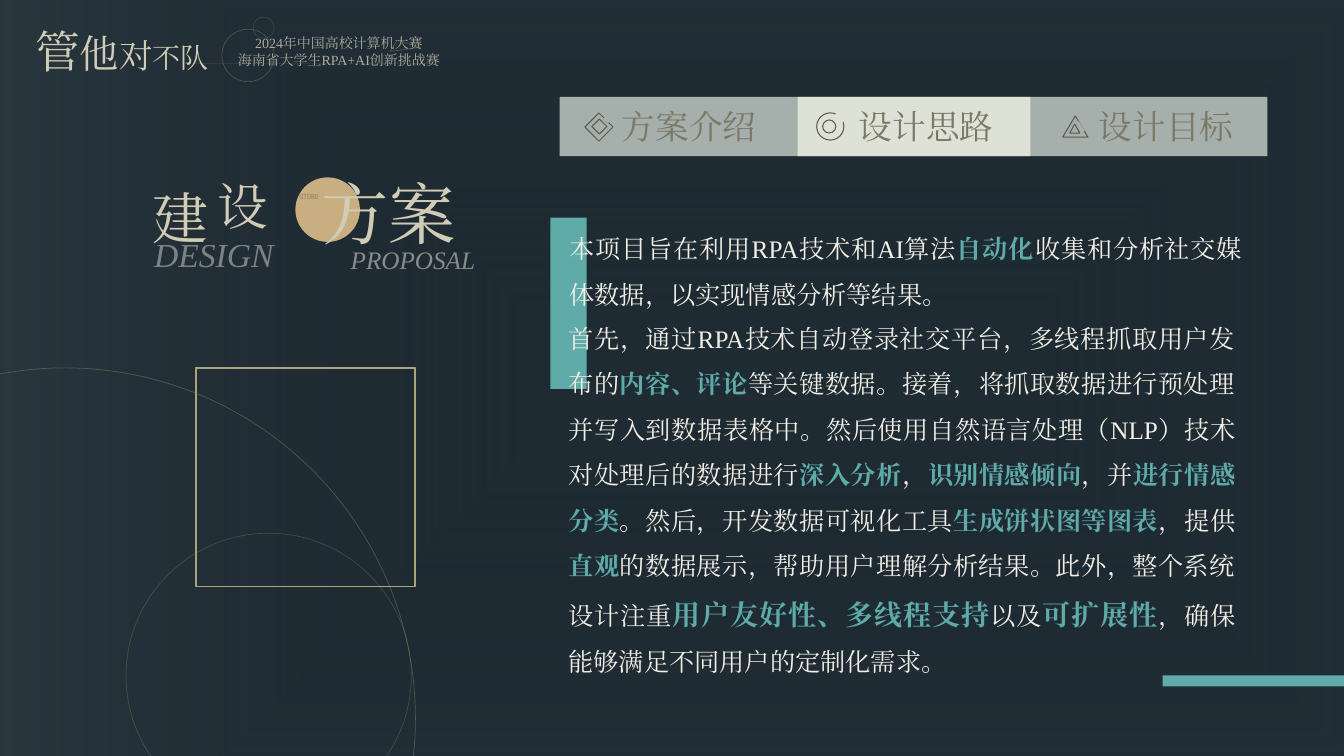
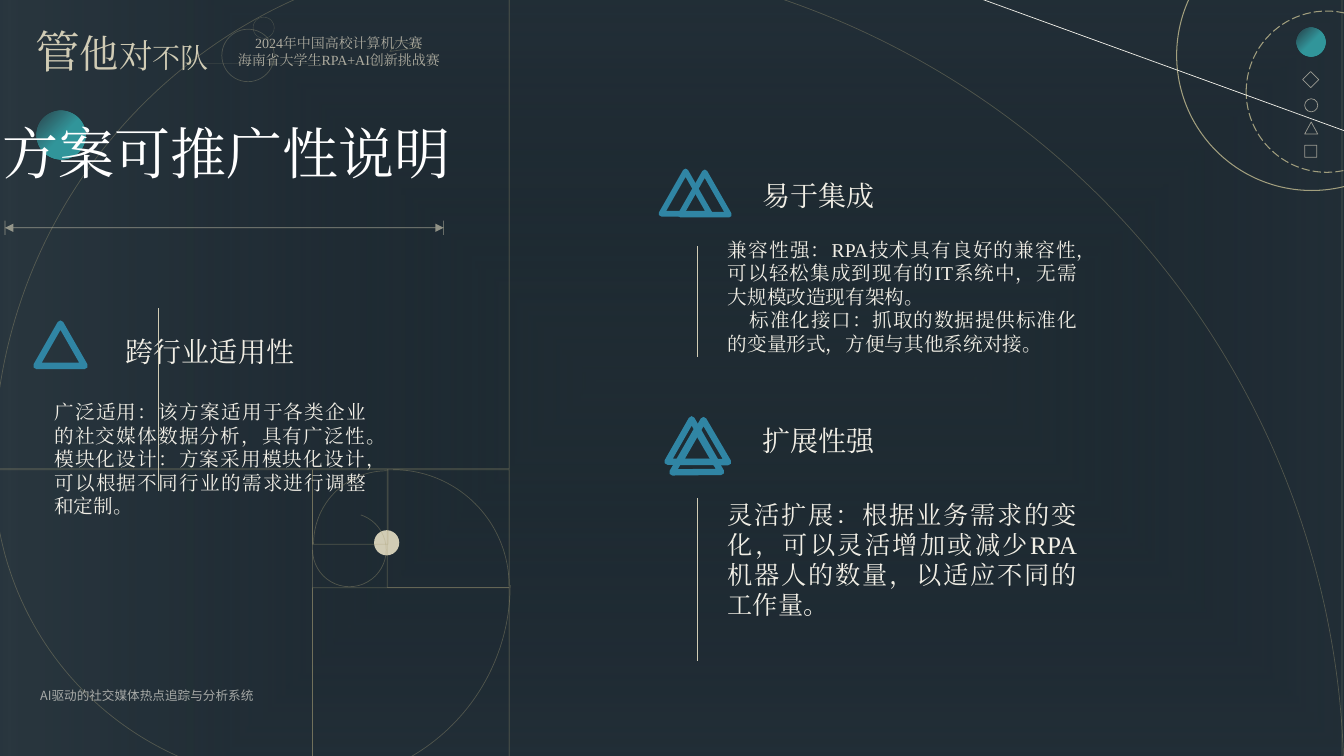
from lxml import etree
from pptx import Presentation
from pptx import util as u
from pptx.dml.color import RGBColor
from pptx.enum import dml, shapes, text
from pptx.oxml import ns

C = {
    "bg": "233036", "navy": "131D29", "slate": "2A373F", "olive": "5C594F",
    "teal": "5EABA9", "orb": "33979C", "orb_edge": "37969B", "blue": "3085A4",
    "grey": "A5AFAC", "active": "DEE1D5", "tab": "7B7866", "gold": "ACA379",
    "moss": "A29F7E", "sand": "E2DBC7", "stone": "D1CCB5", "cream": "F2EFE6",
    "ray": "F2F1EA", "sun": "C9AE81", "brown": "4E4428", "white": "FFFFFF",
}
SERIF, SANS, NARROW = "Times New Roman", "Noto Sans CJK SC", "Roboto Condensed"
M = shapes.MSO_SHAPE
AL = text.PP_ALIGN


def rgb(name):
    """Return the colour called name."""
    return RGBColor.from_string(C[name])


def fade(el, alpha):
    """Give the first RGB colour under el an opacity in percent."""
    if alpha < 100:
        clr = next(el.iter(ns.qn("a:srgbClr")))
        etree.SubElement(clr, ns.qn("a:alpha"), val=str(alpha * 1000))


def gradient(stops, path=None, focus=None, angle=0):
    """Build a gradient fill from (position, colour, opacity) stops."""
    g = etree.Element(ns.qn("a:gradFill"), rotWithShape="1")
    lst = etree.SubElement(g, ns.qn("a:gsLst"))
    for pos, name, alpha in stops:
        gs = etree.SubElement(lst, ns.qn("a:gs"), pos=str(pos * 1000))
        etree.SubElement(gs, ns.qn("a:srgbClr"), val=C[name])
        fade(gs, alpha)
    if path:
        p = etree.SubElement(g, ns.qn("a:path"))
        p.set("path", path)
        rect = etree.SubElement(p, ns.qn("a:fillToRect"))
        for side, value in zip("ltrb", focus):
            rect.set(side, str(value * 1000))
    else:
        etree.SubElement(g, ns.qn("a:lin"), ang=str(angle * 60000), scaled="0")
    return g


def stroke(sp, colour, width, alpha=100):
    """Style the line of a shape or connector."""
    sp.line.color.rgb = rgb(colour)
    sp.line.width = u.Pt(width)
    fade(sp.element.spPr.find(ns.qn("a:ln")), alpha)


def shape(s, kind, box, fill=None, line=None, rot=0, grad=None):
    """Add a preset shape; line is (colour, width, opacity)."""
    sp = s.shapes.add_shape(kind, *map(u.Inches, box))
    sp.shadow.inherit = False
    sp.rotation = rot
    if grad is not None:
        sp.element.spPr.insert(2, grad)
    elif fill:
        sp.fill.solid()
        sp.fill.fore_color.rgb = rgb(fill)
    else:
        sp.fill.background()
    if line:
        stroke(sp, *line)
    else:
        sp.line.fill.background()
    return sp


def line(s, start, end, style, arrows=False):
    """Add a straight line, with arrowheads at both ends if asked."""
    sp = s.shapes.add_connector(shapes.MSO_CONNECTOR.STRAIGHT, *map(u.Inches, start + end))
    stroke(sp, *style)
    etree.SubElement(sp.element.spPr, ns.qn("a:effectLst"))
    if arrows:
        ln = sp.element.spPr.find(ns.qn("a:ln"))
        for tag in ("a:headEnd", "a:tailEnd"):
            etree.SubElement(ln, ns.qn(tag), type="triangle")
    return sp


def style_run(r, size, colour, font=SERIF, alpha=100, bold=False, italic=False):
    """Format one run."""
    f = r.font
    f.size, f.bold, f.italic, f.name = u.Pt(size), bold, italic, font
    f.color.rgb = rgb(colour)
    rpr = f._element if hasattr(f, "_element") else r._r.get_or_add_rPr()
    fade(rpr, alpha)
    rpr.find(ns.qn("a:latin")).addnext(etree.Element(ns.qn("a:ea"), typeface=font))


def textbox(s, box, paras, size, colour, align=AL.LEFT, wrap=True, spacing=None, **style):
    """Add text; a paragraph is a string or a list of (text, overrides)."""
    sp = s.shapes.add_textbox(*map(u.Inches, box))
    tf = sp.text_frame
    tf.word_wrap = wrap
    tf.auto_size = text.MSO_AUTO_SIZE.SHAPE_TO_FIT_TEXT
    for i, para in enumerate(paras):
        p = tf.add_paragraph() if i else tf.paragraphs[0]
        p.alignment = align
        if spacing:
            p.line_spacing = spacing
        for words, extra in [(para, {})] if isinstance(para, str) else para:
            r = p.add_run()
            r.text = words
            style_run(r, **{"size": size, "colour": colour, **style, **extra})
    return sp


def hot(words, size=18):
    """Return a highlighted run."""
    return words, {"size": size, "colour": "teal", "bold": True}


def plain(words):
    """Return a run in the style of its box."""
    return words, {}


def orb(s, box):
    """Add a teal ball that fades out."""
    shape(s, M.OVAL, box, rot=9.7, grad=gradient(
        [(48, "orb", 100), (100, "orb_edge", 0)], "circle", (100, 100, 0, 0)))


def shared_layout(prs, s):
    """Draw the common backdrop and header, then move them to the layout."""
    fill = prs.slide_master.background.fill
    fill.solid()
    fill.fore_color.rgb = rgb("bg")
    shape(s, M.OVAL, (-2.43, -4.59, 20.46, 16.73), line=("olive", 1), grad=gradient(
        [(0, "navy", 20), (70, "slate", 100), (86, "navy", 100)], "shape", (50,) * 4))
    textbox(s, (2.2, 0.29, 2.32, 0.44),
            ["2024年中国高校计算机大赛", "海南省大学生RPA+AI创新挑战赛"],
            10, "sand", AL.CENTER, alpha=73)
    line(s, (1.94, 0.63), (4.29, 0.63), ("moss", 0.5, 12))
    shape(s, M.OVAL, (2.2, 0.29, 0.52, 0.52), line=("moss", 0.5, 35))
    shape(s, M.OVAL, (2.51, 0.17, 0.21, 0.21), line=("moss", 0.25, 35))
    peak = shape(s, M.ISOSCELES_TRIANGLE, (3.86, 0.39, 0.31, 0.1),
                 line=("moss", 0.5, 35), rot=352.3)
    peak.adjustments[0] = 0.28
    team = zip(("管", "他", "对", "不队"), (32, 28, 24, 20))
    textbox(s, (0.25, 0.19, 1.94, 0.64), [[(w, {"size": z}) for w, z in team]],
            32, "stone", wrap=False)
    for sp in list(s.shapes):
        s.slide_layout.shapes.element.append(sp.element)


def tab_bar(s):
    """Draw the three tabs with their nested icons."""
    shape(s, M.RECTANGLE, (5.55, 0.96, 7.02, 0.59), "grey")
    shape(s, M.RECTANGLE, (7.91, 0.96, 2.31, 0.59), "active")
    for x, label in ((6.07, "方案介绍"), (8.42, "设计思路"), (10.8, "设计目标")):
        textbox(s, (x, 1, 1.55, 0.5), [label], 24, "tab", wrap=False)
    icons = (
        (M.DIAMOND, (5.87, 1.18, 0.15, 0.15), (5.8, 1.12, 0.28, 0.28)),
        (M.OVAL, (8.16, 1.19, 0.13, 0.13), (8.1, 1.12, 0.27, 0.27)),
        (M.ISOSCELES_TRIANGLE, (10.61, 1.23, 0.1, 0.09), (10.54, 1.15, 0.25, 0.21)),
    )
    for kind, *boxes in icons:
        for box in boxes:
            shape(s, kind, box, line=("olive", 0.75))
    line(s, (5.99, 1.17), (6.04, 1.21), ("grey", 1.5))
    line(s, (10.69, 1.21), (10.75, 1.3), ("grey", 1.5))
    line(s, (8.29, 1.13), (8.37, 1.2), ("active", 5))


def design_title(s):
    """Draw the staggered title of the design slide."""
    textbox(s, (3.38, 2.37, 1.47, 0.4), ["PROPOSAL"], 18, "cream", alpha=50, italic=True)
    textbox(s, (1.43, 2.27, 1.86, 0.5), ["DESIGN"], 24, "cream", alpha=44, italic=True)
    shape(s, M.OVAL, (2.93, 1.76, 0.64, 0.64), "sun")
    textbox(s, (2.87, 1.86, 0.59, 0.19), ["GTDBD"], 5, "brown", font=NARROW, alpha=44)
    textbox(s, (1.41, 1.77, 0.72, 0.77), ["建"], 40, "stone")
    textbox(s, (2.06, 1.69, 0.72, 0.71), ["设"], 36, "stone")
    textbox(s, (2.77, 1.66, 2.17, 0.91), ["方案"], 48, "stone", AL.CENTER)


def design_slide(s):
    """Build the design slide."""
    shape(s, M.RECTANGLE, (11.53, 6.7, 2.08, 0.11), "teal")
    shape(s, M.RECTANGLE, (5.46, 2.16, 0.36, 1.7), "teal")
    shape(s, M.OVAL, (-2.83, 3.65, 6.95, 6.95), line=("gold", 0.5, 34))
    for x in (1.94, 1.95):
        shape(s, M.RECTANGLE, (x, 3.65, 2.17, 2.17), line=("gold", 1))
    shape(s, M.OVAL, (1.25, 5.29, 2.83, 2.83), line=("gold", 0.5, 26))
    tab_bar(s)
    intro = [plain("本项目旨在利用RPA技术和AI算法"), hot("自动化"),
             plain("收集和分析社交媒体数据，以实现情感分析等结果。")]
    steps = [
        plain("首先，通过RPA技术自动登录社交平台，多线程抓取用户发布的"), hot("内容、评论"),
        plain("等关键数据。接着，将抓取数据进行预处理并写入到数据表格中。"
              "然后使用自然语言处理（NLP）技术对处理后的数据进行"), hot("深入分析"),
        plain("，"), hot("识别情感倾向"), plain("，并"), hot("进行情感分类"),
        plain("。然后，开发数据可视化工具"), hot("生成饼状图等图表"),
        plain("，提供"), hot("直观"),
        plain("的数据展示，帮助用户理解分析结果。此外，整个系统设计注重"),
        hot("用户友好性、多线程支持", 20), plain("以及"), hot("可扩展性", 20),
        plain("，确保能够满足不同用户的定制化需求。"),
    ]
    for box, runs in (((5.55, 2.12, 6.87, 0.96), intro), ((5.54, 3.01, 6.81, 3.73), steps)):
        textbox(s, box, [runs], 18, "cream", AL.JUSTIFY, spacing=1.5)
    design_title(s)


def golden_spiral(s):
    """Draw the golden rectangles and the arcs inside them."""
    style = ("gold", 0.5, 34)
    for box in ((3.1, 4.66, 0.75, 0.74), (3.84, 4.66, 1.21, 1.17), (3.1, 5.83, 1.95, 1.95),
                (-0.06, 4.66, 3.16, 3.11), (-0.06, -0.45, 5.11, 5.1), (5.05, -0.45, 8.26, 8.22)):
        shape(s, M.RECTANGLE, box, line=style)
    arcs = ((-3.13, -0.45, 16.46), (-0.06, -0.45, 10.11), (-0.06, 1.61, 6.16), (1.13, 3.84, 3.93),
            (2.75, 4.66, 2.3), (3.11, 4.67, 1.45), (3.1, 5.09, 0.73))
    for i, (x, y, d) in enumerate(arcs):
        arc = shape(s, M.ARC, (x, y, d, d), line=style, rot=-90 * i % 360)
    arc.adjustments[0] = 64.8


def corner_badge(s):
    """Draw the ball, small icons and rings at the top right."""
    orb(s, (12.86, 0.27, 0.29, 0.29))
    for kind, box in ((M.DIAMOND, (12.92, 0.71, 0.16, 0.16)),
                      (M.ISOSCELES_TRIANGLE, (12.94, 1.21, 0.13, 0.12)),
                      (M.RECTANGLE, (12.94, 1.44, 0.12, 0.12)),
                      (M.OVAL, (12.94, 0.98, 0.13, 0.13))):
        shape(s, kind, box, line=("sand", 0.5, 63))
    ring = shape(s, M.OVAL, (12.36, 0.11, 1.6, 1.6), line=("moss", 0.75))
    ring.line.dash_style = dml.MSO_LINE.LONG_DASH
    shape(s, M.OVAL, (11.67, -0.79, 2.68, 2.68), line=("moss", 0.75))


def reach_slide(s):
    """Build the slide on how far the proposal can spread."""
    for x, y, label in ((1.15, 3.27, "跨行业适用性"), (7.46, 1.72, "易于集成"), (7.46, 4.15, "扩展性强")):
        textbox(s, (x, y, 2.34, 0.44), [label], 20, "cream", AL.JUSTIFY)
    for x, top, bottom in ((1.57, 3.06, 4.87), (6.92, 2.44, 3.54), (6.92, 4.94, 6.56)):
        line(s, (x, top), (x, bottom), ("stone", 0.5))
    textbox(s, (0.44, 3.92, 3.29, 1.28),
            ["广泛适用：该方案适用于各类企业的社交媒体数据分析，具有广泛性。",
             "模块化设计：方案采用模块化设计，可以根据不同行业的需求进行调整和定制。"],
            14, "cream", AL.JUSTIFY)
    sp = textbox(s, (7.12, 2.31, 3.66, 1.28),
                 ["兼容性强：RPA技术具有良好的兼容性，可以轻松集成到现有的IT系统中，无需大规模改造现有架构。",
                  "标准化接口：抓取的数据提供标准化的变量形式，方便与其他系统对接。"],
                 14, "cream", AL.JUSTIFY)
    sp.text_frame.paragraphs[1]._p.get_or_add_pPr().set("indent", str(u.Inches(0.22)))
    textbox(s, (7.12, 4.9, 3.66, 1.31),
            ["灵活扩展：根据业务需求的变化，可以灵活增加或减少RPA机器人的数量，以适应不同的工作量。"],
            18, "cream", AL.JUSTIFY)
    shape(s, M.OVAL, (3.71, 5.26, 0.25, 0.25), "stone")
    for x, y, rot, width in ((0.36, 3.21, 0, 4.5), (6.62, 4.16, 0, 4.5), (6.8, 4.27, 119.9, 4.5),
                             (6.61, 4.37, 239.7, 4.5), (6.75, 1.71, 0, 4), (6.56, 1.7, 0, 4)):
        shape(s, M.ISOSCELES_TRIANGLE, (x, y, 0.48, 0.42), line=("blue", width), rot=rot)
    textbox(s, (0.3, 6.77, 2.39, 0.25), ["AI驱动的社交媒体热点追踪与分析系统"],
            9, "cream", wrap=False, font=SANS, alpha=63)
    corner_badge(s)
    golden_spiral(s)
    line(s, (14.14, 1.59), (9.57, -0.07), ("ray", 0.5))
    orb(s, (0.36, 1.1, 0.49, 0.48))
    line(s, (0.05, 2.26), (4.4, 2.26), ("stone", 0.5, 63), arrows=True)
    for x in (0.05, 4.4):
        line(s, (x, 2.19), (x, 2.33), ("stone", 0.5, 63))
    sp = textbox(s, (-0.07, 1.13, 4.69, 0.77), ["方案可推广性说明"], 40, "white", wrap=False)
    rpr = sp.text_frame.paragraphs[0].runs[0]._r.get_or_add_rPr()
    rpr.replace(rpr.find(ns.qn("a:solidFill")),
                gradient([(31, "white", 100), (100, "stone", 100)], angle=85))


def main():
    """Build and save the presentation."""
    prs = Presentation()
    prs.slide_width, prs.slide_height = u.Inches(13.33), u.Inches(7.5)
    blank = prs.slide_layouts[6]
    s = prs.slides.add_slide(blank)
    shared_layout(prs, s)
    design_slide(s)
    reach_slide(prs.slides.add_slide(blank))
    prs.save("out.pptx")


if __name__ == "__main__":
    main()
